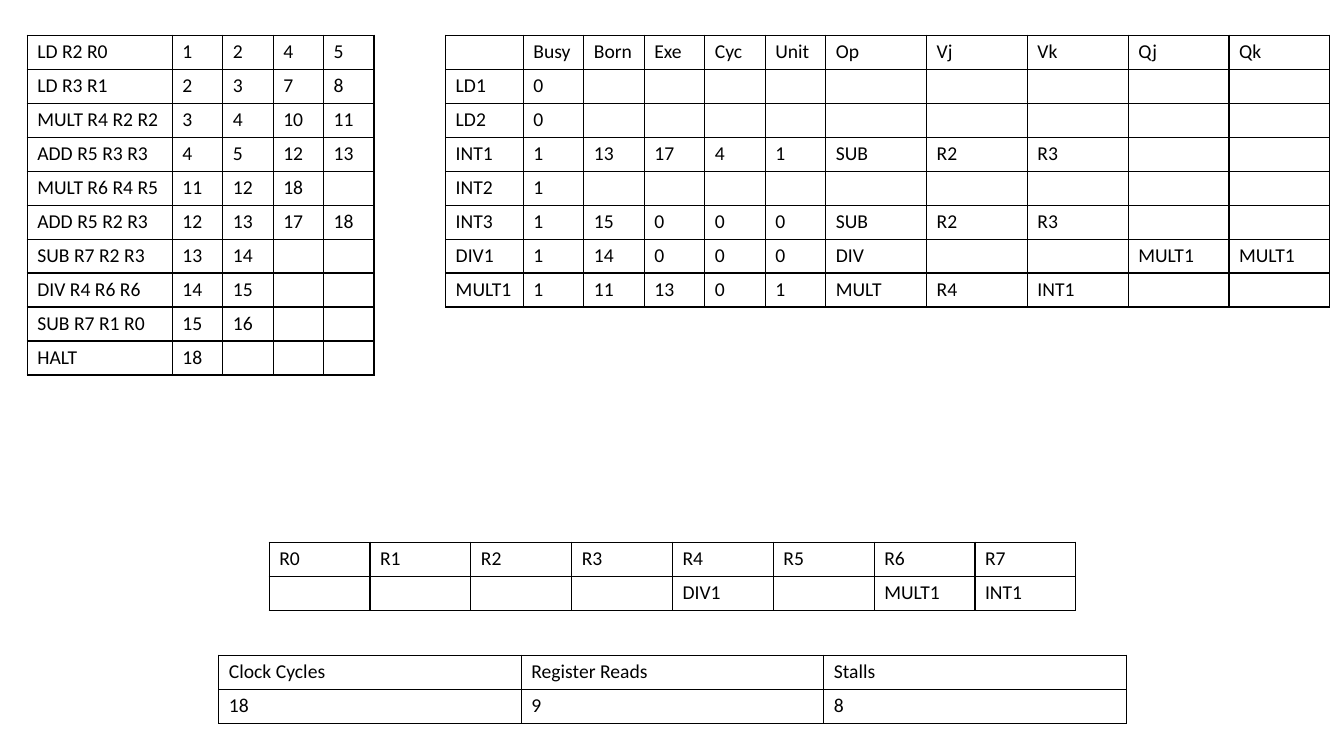
from lxml import etree
from pptx import Presentation
from pptx.dml.color import RGBColor
from pptx.oxml.ns import qn
from pptx.util import Inches, Pt

BLACK = RGBColor(0x00, 0x00, 0x00)
FONT_SIZE = Pt(14)
ROW_HEIGHT = 0.3
TEXT_FORMAT = {"name": "Calibri", "size": FONT_SIZE, "bold": False}

# Each table: left, top, column widths, rows with cells split by commas
instructions = (0.27, 0.35, [1.44] + [0.5] * 4, [
    "LD R2 R0,1,2,4,5",
    "LD R3 R1,2,3,7,8",
    "MULT R4 R2 R2,3,4,10,11",
    "ADD R5 R3 R3,4,5,12,13",
    "MULT R6 R4 R5,11,12,18,",
    "ADD R5 R2 R3,12,13,17,18",
    "SUB R7 R2 R3,13,14,,",
    "DIV R4 R6 R6,14,15,,",
    "SUB R7 R1 R0,15,16,,",
    "HALT,18,,,",
])
stations = (4.42, 0.35, [0.77] + [0.6] * 5 + [1] * 5, [
    ",Busy,Born,Exe,Cyc,Unit,Op,Vj,Vk,Qj,Qk",
    "LD1,0,,,,,,,,,",
    "LD2,0,,,,,,,,,",
    "INT1,1,13,17,4,1,SUB,R2,R3,,",
    "INT2,1,,,,,,,,,",
    "INT3,1,15,0,0,0,SUB,R2,R3,,",
    "DIV1,1,14,0,0,0,DIV,,,MULT1,MULT1",
    "MULT1,1,11,13,0,1,MULT,R4,INT1,,",
])
registers = (2.67, 5.38, [1] * 8, [
    "R0,R1,R2,R3,R4,R5,R6,R7",
    ",,,,DIV1,,MULT1,INT1",
])
totals = (2.17, 6.5, [3] * 3, [
    "Clock Cycles,Register Reads,Stalls",
    "18,9,8",
])


def add_borders(cell):
    tcPr = cell._tc.get_or_add_tcPr()
    for side in ("lnL", "lnR", "lnT", "lnB"):
        ln = etree.SubElement(tcPr, qn(f"a:{side}"), w=str(Pt(1)))
        fill = etree.SubElement(ln, qn("a:solidFill"))
        etree.SubElement(fill, qn("a:srgbClr"), val=str(BLACK))


def fill_cell(cell, text):
    add_borders(cell)
    cell.fill.background()
    p = cell.text_frame.paragraphs[0]
    if not text:
        # An empty cell needs the same size so that it does not stretch its row
        end = etree.SubElement(p._p, qn("a:endParaRPr"))
        end.set("sz", str(FONT_SIZE.centipoints))
        return
    r = p.add_run()
    r.text = text
    for name, value in TEXT_FORMAT.items():
        setattr(r.font, name, value)
    r.font.color.rgb = BLACK


prs = Presentation()
prs.slide_width = Inches(13.33)
prs.slide_height = Inches(7.5)
s = prs.slides.add_slide(prs.slide_layouts[6])

for left, top, widths, rows in (instructions, stations, registers, totals):
    table = s.shapes.add_table(
        len(rows), len(widths), Inches(left), Inches(top),
        Inches(sum(widths)), Inches(ROW_HEIGHT * len(rows))).table
    table.first_row = False
    table.horz_banding = False
    for column, width in zip(table.columns, widths):
        column.width = Inches(width)
    for row, line in zip(table.rows, rows):
        row.height = Inches(ROW_HEIGHT)
        for cell, text in zip(row.cells, line.split(",")):
            fill_cell(cell, text)

prs.save("out.pptx")
